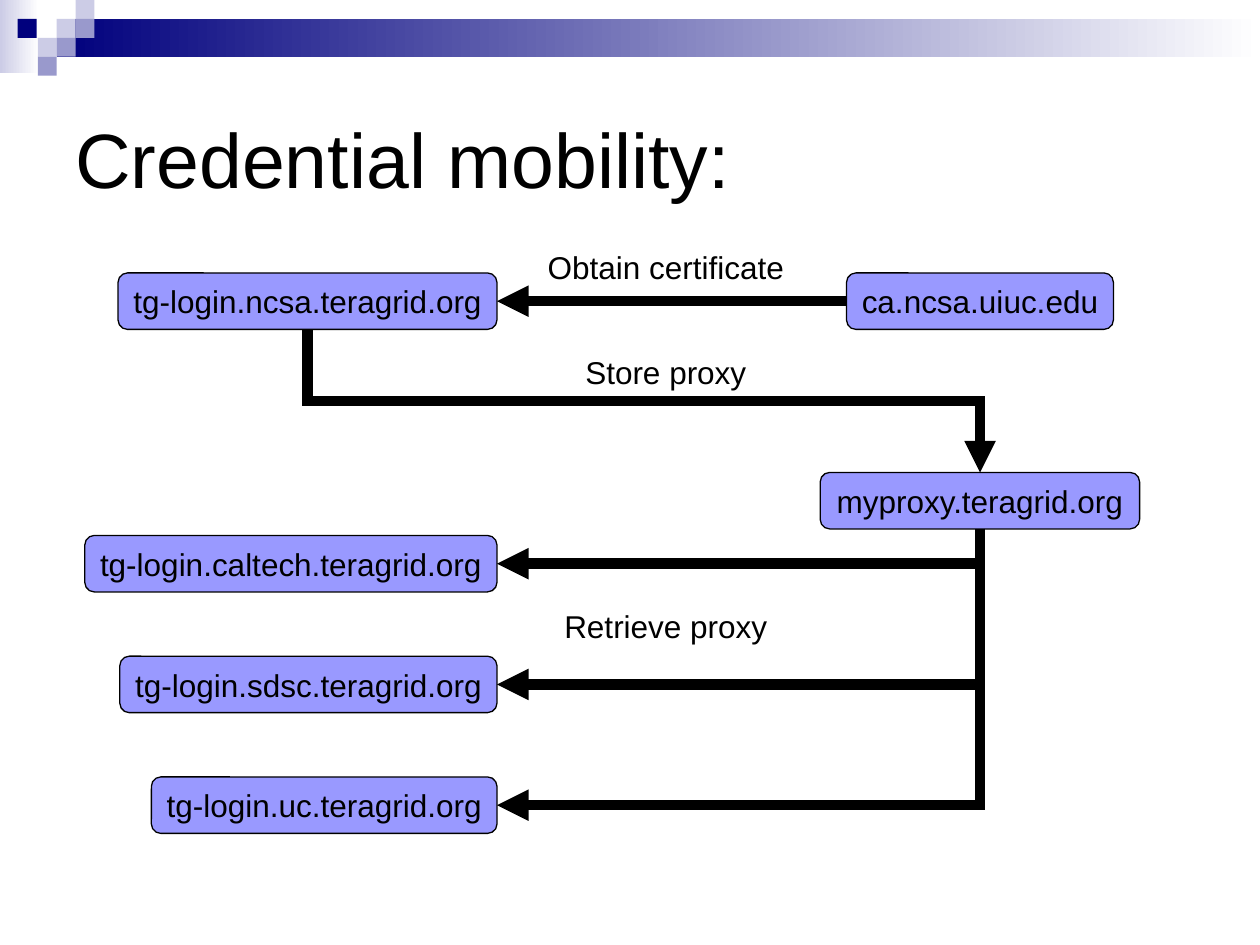
"""Build the credential mobility slide: hosts, certificate and proxy flows."""
from dataclasses import dataclass

from lxml import etree
from pptx import Presentation
from pptx import util as u
from pptx.dml.color import RGBColor
from pptx.enum import shapes, text
from pptx.oxml import ns

TOP, LEFT, BOTTOM, RIGHT = range(4)


@dataclass(frozen=True)
class Theme:
    font: str = "Arial"
    title_size: float = 44
    body_size: float = 18
    ink: str = "000000"
    host: str = "9999FF"
    navy: str = "00007D"
    pale: str = "CCCCE6"
    mid: str = "9999CC"
    white: str = "FFFFFF"
    outline: float = 0.75
    flow: float = 6


@dataclass(frozen=True)
class Host:
    name: str
    left: float
    top: float
    width: float
    height: float = 32.25


@dataclass(frozen=True)
class Label:
    words: str
    top: float


@dataclass(frozen=True)
class Flow:
    source: str
    source_side: int
    target: str
    target_side: int


@dataclass(frozen=True)
class Tile:
    left: float
    top: float
    color: str


THEME = Theme()
CELL = 10.8
LOGIN_RIGHT = 284
SERVICE_CENTER = 560
LABEL_CENTER = 380.5
LABEL_WIDTH = 150

NCSA, CALTECH, SDSC, UC = (
    f"tg-login.{site}.teragrid.org" for site in ("ncsa", "caltech", "sdsc", "uc"))
AUTHORITY, MYPROXY = "ca.ncsa.uiuc.edu", "myproxy.teragrid.org"

LOGINS = [(NCSA, 156, 216.5), (CALTECH, 306, 235.5), (SDSC, 375, 215.5), (UC, 444, 197.5)]
SERVICES = [(AUTHORITY, 156, 152.5), (MYPROXY, 270, 182.5)]
HOSTS = [Host(name, LOGIN_RIGHT - width, top, width) for name, top, width in LOGINS]
HOSTS += [Host(name, SERVICE_CENTER - width / 2, top, width) for name, top, width in SERVICES]

LABELS = [Label("Obtain certificate", 138), Label("Store proxy", 198),
          Label("Retrieve proxy", 343.5)]

CERTIFICATE = Flow(AUTHORITY, LEFT, NCSA, RIGHT)
STORE = Flow(NCSA, BOTTOM, MYPROXY, TOP)
RETRIEVALS = [Flow(MYPROXY, BOTTOM, login, RIGHT) for login in (CALTECH, UC, SDSC)]

TILES = [Tile(column * CELL, row * CELL, color) for column, row, color in (
    (3, 1, THEME.pale), (4, 0, THEME.pale), (4, 1, THEME.mid),
    (2, 2, THEME.pale), (3, 2, THEME.mid), (2, 3, THEME.mid))]
TILES.append(Tile(10.1, CELL, THEME.navy))


def rgb(value: str) -> RGBColor:
    """Turn a hex string into a colour."""
    return RGBColor.from_string(value)


def write(frame, words: str, size: float, align, anchor) -> None:
    """Put one styled paragraph into a text frame."""
    frame.auto_size = text.MSO_AUTO_SIZE.NONE
    frame.vertical_anchor = anchor
    paragraph = frame.paragraphs[0]
    paragraph.text = words
    paragraph.alignment = align
    paragraph.font.name = THEME.font
    paragraph.font.size = u.Pt(size)
    paragraph.font.color.rgb = rgb(THEME.ink)


def add_block(slide, kind, left: float, top: float, width: float, height: float):
    """Add a preset shape without shadow or outline."""
    block = slide.shapes.add_shape(kind, u.Pt(left), u.Pt(top), u.Pt(width), u.Pt(height))
    block.shadow.inherit = False
    block.line.fill.background()
    return block


def add_fade(slide, left: float, top: float, width: float, height: float, color: str) -> None:
    """Add a band fading to white on the right."""
    fill = add_block(slide, shapes.MSO_SHAPE.RECTANGLE, left, top, width, height).fill
    fill.gradient()
    fill.gradient_angle = 0
    for stop, shade in zip(fill.gradient_stops, (color, THEME.white)):
        stop.color.rgb = rgb(shade)


def add_tile(slide, tile: Tile) -> None:
    """Add one square of the corner mosaic."""
    fill = add_block(slide, shapes.MSO_SHAPE.RECTANGLE, tile.left, tile.top, CELL, CELL).fill
    fill.solid()
    fill.fore_color.rgb = rgb(tile.color)


def add_host(slide, host: Host):
    """Add a rounded host box with its name."""
    box = add_block(slide, shapes.MSO_SHAPE.ROUNDED_RECTANGLE,
                    host.left, host.top, host.width, host.height)
    box.fill.solid()
    box.fill.fore_color.rgb = rgb(THEME.host)
    box.line.color.rgb = rgb(THEME.ink)
    box.line.width = u.Pt(THEME.outline)
    box.text_frame.word_wrap = False
    write(box.text_frame, host.name, THEME.body_size,
          text.PP_ALIGN.CENTER, text.MSO_ANCHOR.MIDDLE)
    return box


def add_words(slide, words: str, left: float, top: float, width: float, height: float,
              size: float, align, anchor) -> None:
    """Add a wrapping text box."""
    box = slide.shapes.add_textbox(u.Pt(left), u.Pt(top), u.Pt(width), u.Pt(height))
    box.text_frame.word_wrap = True
    write(box.text_frame, words, size, align, anchor)


def add_flow(slide, flow: Flow, boxes: dict, kind=shapes.MSO_CONNECTOR.ELBOW):
    """Join two hosts with a thick arrow."""
    arrow = slide.shapes.add_connector(kind, 0, 0, 0, 0)
    arrow.begin_connect(boxes[flow.source], flow.source_side)
    arrow.end_connect(boxes[flow.target], flow.target_side)
    arrow.line.color.rgb = rgb(THEME.ink)
    arrow.line.width = u.Pt(THEME.flow)
    properties = arrow._element.spPr
    line = properties.find(ns.qn("a:ln"))
    etree.SubElement(line, ns.qn("a:miter"), lim="800000")
    etree.SubElement(line, ns.qn("a:tailEnd"), type="triangle")
    etree.SubElement(properties, ns.qn("a:effectLst"))
    return arrow


def turn_downward(arrow, preset: str) -> None:
    """Turn an elbow so that it leaves its first host downward."""
    rightward = arrow.end_x > arrow.begin_x
    across, down = arrow.width, arrow.height
    center_x, center_y = arrow.left + across // 2, arrow.top + down // 2
    arrow.left, arrow.top = center_x - down // 2, center_y - across // 2
    arrow.width, arrow.height = down, across
    properties = arrow._element.spPr
    frame = properties.find(ns.qn("a:xfrm"))
    frame.set("rot", str((270 if rightward else 90) * 60000))
    frame.set("flipH", "1" if rightward else "0")
    frame.set("flipV", "0")
    properties.find(ns.qn("a:prstGeom")).set("prst", preset)


def main() -> None:
    """Draw the slide and save it."""
    deck = Presentation()
    deck.slide_width, deck.slide_height = u.Pt(720), u.Pt(540)
    slide = deck.slides.add_slide(deck.slide_layouts[6])
    add_fade(slide, 0, 0, 22.3, 41.75, THEME.pale)
    add_fade(slide, 3 * CELL, CELL, 720 - 3 * CELL, 2 * CELL, THEME.navy)
    for tile in TILES:
        add_tile(slide, tile)
    add_words(slide, "Credential mobility:", 36, 36, 648, 108, THEME.title_size,
              text.PP_ALIGN.LEFT, text.MSO_ANCHOR.MIDDLE)
    boxes = {host.name: add_host(slide, host) for host in HOSTS}
    add_flow(slide, CERTIFICATE, boxes, shapes.MSO_CONNECTOR.STRAIGHT)
    turn_downward(add_flow(slide, STORE, boxes), "bentConnector3")
    for retrieval in RETRIEVALS:
        turn_downward(add_flow(slide, retrieval, boxes), "bentConnector2")
    for label in LABELS:
        add_words(slide, label.words, LABEL_CENTER - LABEL_WIDTH / 2, label.top, LABEL_WIDTH, 29,
                  THEME.body_size, text.PP_ALIGN.CENTER, text.MSO_ANCHOR.TOP)
    deck.save("out.pptx")


if __name__ == "__main__":
    main()
